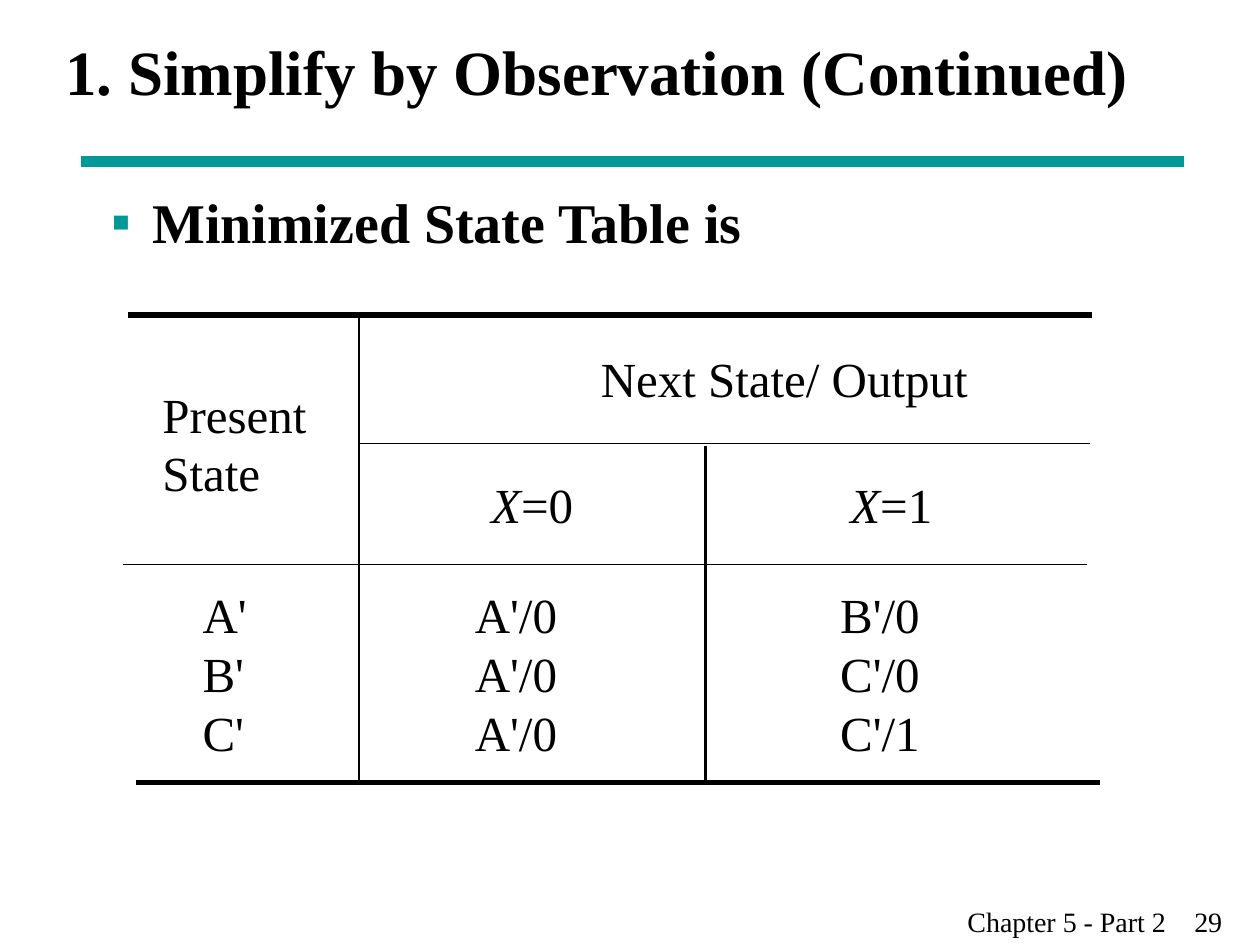
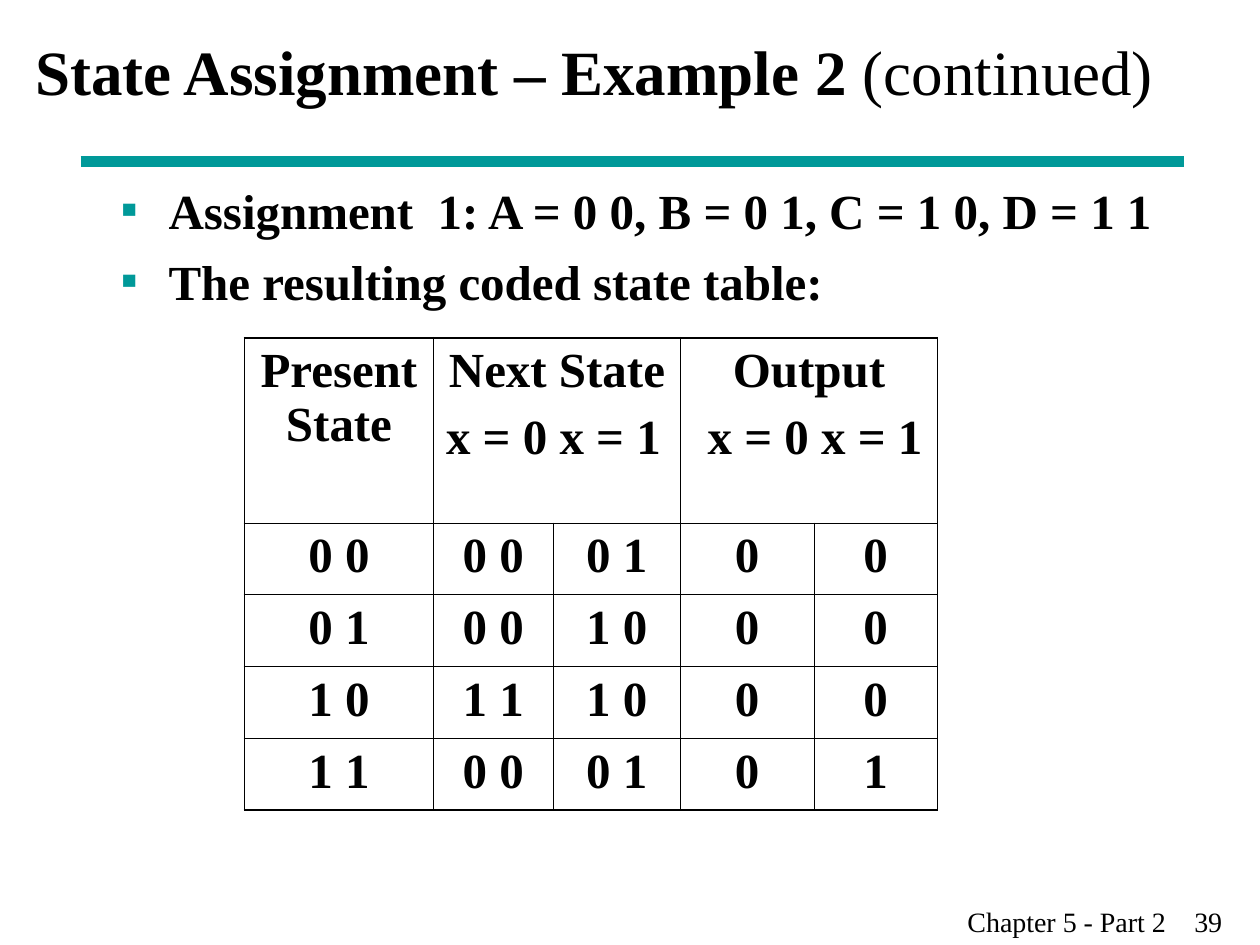
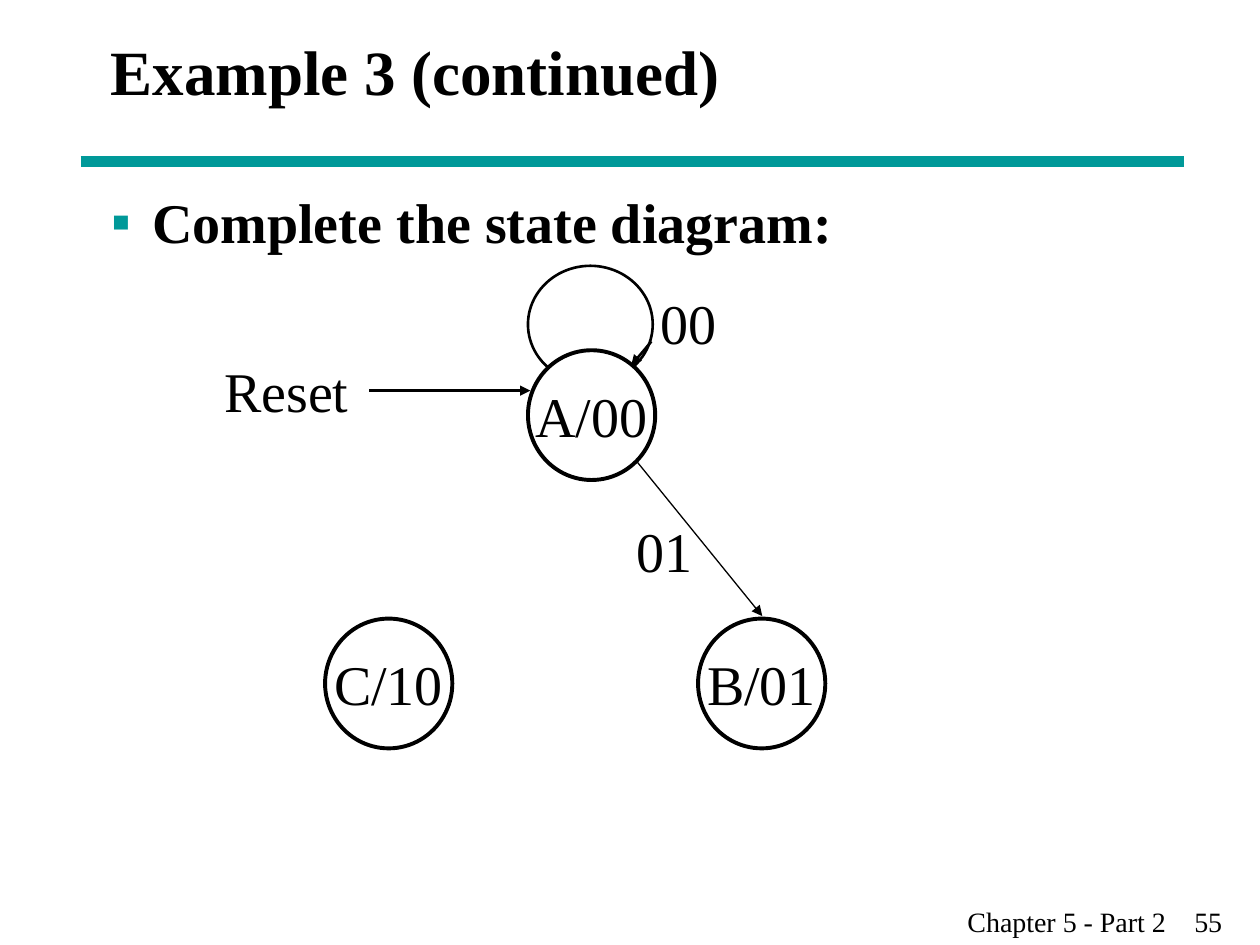
from lxml import etree
from pptx import Presentation
from pptx.dml.color import RGBColor
from pptx.enum.shapes import MSO_CONNECTOR, MSO_SHAPE
from pptx.enum.text import MSO_ANCHOR, PP_ALIGN
from pptx.oxml.ns import qn
from pptx.util import Inches, Pt

STRAIGHT = MSO_CONNECTOR.STRAIGHT
OVAL = MSO_SHAPE.OVAL
TOP, MIDDLE = MSO_ANCHOR.TOP, MSO_ANCHOR.MIDDLE
LEFT, CENTER = PP_ALIGN.LEFT, PP_ALIGN.CENTER

# Shared style
FONT = "Times New Roman"
COLORS = {"text": "000000", "accent": "009999", "paper": "FFFFFF"}
FOOTER = "Chapter 5 - Part 2"

# Slide 1: state table drawn with rules; (from x, from y, to x, to y, points)
STATE_RULES = [
    (1.02, 2.5, 8.67, 2.5, 3),
    (1.08, 6.21, 8.73, 6.21, 3),
    (2.85, 2.5, 2.85, 6.19, 1.5),
    (5.6, 3.54, 5.6, 6.19, 1.5),
    (2.85, 3.52, 8.65, 3.52, 1),
    (0.98, 4.48, 8.63, 4.48, 1),
]
STATE_HEADINGS = [
    ((4.67, 2.72, 3.11, 0.57), "Next State/ Output"),
    ((3.8, 3.72, 0.85, 0.57), [("X", {"italic": True}), ("=0", {})]),
    ((6.65, 3.72, 0.85, 0.57), [("X", {"italic": True}), ("=1", {})]),
]
STATE_COLUMNS = [
    (1.51, 0.55, ["A'", "B'", "C'"]),
    (3.67, 0.85, ["A'/0", "A'/0", "A'/0"]),
    (6.57, 0.83, ["B'/0", "C'/0", "C'/1"]),
]

# Slide 2: coded state table
ASSIGNMENT_BULLETS = [
    "Assignment  1: A = 0 0, B = 0 1, C = 1 0, D = 1 1",
    "The resulting coded state table:",
]
# First column, last column, lines with their alignment
CODED_HEADINGS = [
    (0, 0, [("Present State", CENTER)]),
    (1, 2, [("Next State", CENTER), ("x = 0 x = 1", LEFT)]),
    (3, 4, [("Output", CENTER), (" x = 0 x = 1", CENTER)]),
]
CODED_ROWS = [
    ["0 0", "0 0", "0 1", "0", "0"],
    ["0 1", "0 0", "1 0", "0", "0"],
    ["1 0", "1 1", "1 0", "0", "0"],
    ["1 1", "0 0", "0 1", "0", "1"],
]
CODED_WIDTHS = [1.5, 0.95, 1.01, 1.06, 0.98]
CODED_HEIGHTS = [1.47] + [0.57] * len(CODED_ROWS)

# Slide 3: state diagram
STATE_SIZE = (1.01, 1.03)
STATES = [
    ("A/00", 4.19, 2.78, "paper"),
    ("B/01", 5.54, 4.91, None),
    ("C/10", 2.58, 4.91, None),
]
DIAGRAM_LABELS = [
    ((5.14, 2.24, 0.65, 0.64), "00"),
    ((4.95, 4.05, 0.65, 0.64), "01"),
    ((1.68, 2.78, 1.25, 0.64), "Reset"),
]
LOOP = (4.19, 2.11, 0.99, 0.93)
LOOP_ARROW = (5.17, 2.71, 5.01, 2.9, 1.5)
TRANSITIONS = [(2.93, 3.1, 4.21, 3.1, 1.5), (5.06, 3.67, 6.05, 4.89, 0.75)]


def color(name):
    return RGBColor.from_string(COLORS[name])


def write_paragraph(paragraph, content, size, bold=False, align=LEFT):
    """Fill a paragraph from a string or a list of (text, font settings)."""
    paragraph.alignment = align
    parts = [(content, {})] if isinstance(content, str) else content
    for text, settings in parts:
        run = paragraph.add_run()
        run.text = text
        font = run.font
        font.name, font.size, font.bold = FONT, Pt(size), bold
        font.color.rgb = color("text")
        for name, value in settings.items():
            setattr(font, name, value)


def write_frame(frame, lines, size, bold=False, align=LEFT, anchor=TOP,
                wrap=True, gap=0):
    frame.word_wrap = wrap
    frame.vertical_anchor = anchor
    for index, line in enumerate(lines):
        paragraph = frame.add_paragraph() if index else frame.paragraphs[0]
        paragraph.line_spacing = 1.0
        if index and gap:
            paragraph.space_before = Pt(gap)
        write_paragraph(paragraph, line, size, bold, align)


def add_text(slide, box, lines, size, **options):
    shape = slide.shapes.add_textbox(*map(Inches, box))
    write_frame(shape.text_frame, lines, size, **options)
    return shape


def add_line(slide, x1, y1, x2, y2, width, line_color="text", arrow=False):
    line = slide.shapes.add_connector(STRAIGHT, *map(Inches, (x1, y1, x2, y2)))
    line.line.color.rgb = color(line_color)
    line.line.width = Pt(width)
    properties = line._element.spPr
    if arrow:
        outline = properties.find(qn("a:ln"))
        etree.SubElement(outline, qn("a:tailEnd"), type="triangle")
    etree.SubElement(properties, qn("a:effectLst"))


def add_circle(slide, box, width, fill=None):
    circle = slide.shapes.add_shape(OVAL, *map(Inches, box))
    circle.shadow.inherit = False
    if fill:
        circle.fill.solid()
        circle.fill.fore_color.rgb = color(fill)
    else:
        circle.fill.background()
    circle.line.color.rgb = color("text")
    circle.line.width = Pt(width)
    return circle


def add_bullets(slide, box, lines, size, indent, gap):
    shape = add_text(slide, box, lines, size, bold=True, gap=gap)
    for paragraph in shape.text_frame.paragraphs:
        properties = paragraph._p.get_or_add_pPr()
        properties.set("marL", str(Inches(indent)))
        properties.set("indent", str(-Inches(indent)))
        bullet_color = etree.SubElement(properties, qn("a:buClr"))
        etree.SubElement(bullet_color, qn("a:srgbClr"), val=COLORS["accent"])
        etree.SubElement(properties, qn("a:buFont"), typeface=FONT)
        etree.SubElement(properties, qn("a:buChar"), char="▪")


def add_base_slide(presentation, title, title_left, title_width, number):
    """Blank slide with the title, the rule below it and the footer."""
    slide = presentation.slides.add_slide(presentation.slide_layouts[6])
    add_line(slide, 0.64, 1.28, 9.4, 1.28, 6, "accent")
    add_text(slide, (title_left, 0, title_width, 1.12), [title], 36,
             bold=True, anchor=MIDDLE)
    footer = add_text(slide, (7.58, 7.13, 2.42, 0.37), [f"{FOOTER}\t{number}"], 16)
    properties = footer.text_frame.paragraphs[0]._p.get_or_add_pPr()
    tabs = etree.SubElement(properties, qn("a:tabLst"))
    etree.SubElement(tabs, qn("a:tab"), pos=str(Inches(1.8)), algn="l")
    return slide


def set_borders(cell, row, column, last_row, last_column):
    """Heavier lines on the outer edges of the table."""
    outer_edges = {"lnL": column == 0, "lnR": column == last_column,
                   "lnT": row == 0, "lnB": row == last_row}
    properties = cell._tc.get_or_add_tcPr()
    for tag, outer in outer_edges.items():
        width = Pt(1.08 if outer else 0.45)
        border = etree.SubElement(properties, qn(f"a:{tag}"), w=str(width))
        fill = etree.SubElement(border, qn("a:solidFill"))
        etree.SubElement(fill, qn("a:srgbClr"), val=COLORS["text"])


def add_coded_table(slide):
    rows, columns = len(CODED_HEIGHTS), len(CODED_WIDTHS)
    frame = slide.shapes.add_table(
        rows, columns, Inches(1.94), Inches(2.68),
        Inches(sum(CODED_WIDTHS)), Inches(sum(CODED_HEIGHTS)))
    table = frame.table
    table.first_row = table.horz_banding = False
    for column, width in zip(table.columns, CODED_WIDTHS):
        column.width = Inches(width)
    for row, height in zip(table.rows, CODED_HEIGHTS):
        row.height = Inches(height)
    for row in range(rows):
        for column in range(columns):
            cell = table.cell(row, column)
            set_borders(cell, row, column, rows - 1, columns - 1)
            cell.fill.background()

    # Heading cells, then codes
    for first, last, lines in CODED_HEADINGS:
        cell = table.cell(0, first)
        if last > first:
            cell.merge(table.cell(0, last))
        for index, (line, align) in enumerate(lines):
            text_frame = cell.text_frame
            paragraph = text_frame.add_paragraph() if index else text_frame.paragraphs[0]
            if index:
                paragraph.space_before = Pt(7)
            write_paragraph(paragraph, line, 28, True, align)
    for row, codes in enumerate(CODED_ROWS, 1):
        for column, code in enumerate(codes):
            paragraph = table.cell(row, column).text_frame.paragraphs[0]
            write_paragraph(paragraph, code, 28, True, CENTER)


def build_minimized_table(presentation):
    slide = add_base_slide(
        presentation, "1. Simplify by Observation (Continued)", 0.42, 8.86, 29)
    add_bullets(slide, (0.79, 1.44, 8.5, 5.5), ["Minimized State Table is"],
                32, 0.32, 8)
    for rule in STATE_RULES:
        add_line(slide, *rule)
    add_text(slide, (1.19, 3, 1.41, 1.04), ["Present State"], 28)
    for box, heading in STATE_HEADINGS:
        add_text(slide, box, [heading], 28, wrap=False)
    for left, width, entries in STATE_COLUMNS:
        add_text(slide, (left, 4.59, width, 1.5), entries, 28, wrap=False)


def build_state_assignment(presentation):
    title = [("State Assignment – Example 2 ", {}), ("(continued)", {"bold": False})]
    slide = add_base_slide(presentation, title, 0.18, 9.1, 39)
    add_bullets(slide, (0.86, 1.38, 8.5, 1.84), ASSIGNMENT_BULLETS, 28, 0.38, 7)
    add_coded_table(slide)


def build_state_diagram(presentation):
    slide = add_base_slide(presentation, "Example 3 (continued)", 0.78, 8.5, 55)
    add_bullets(slide, (0.79, 1.44, 8.5, 5.5), ["Complete the state diagram:"],
                32, 0.32, 8)
    # The loop lies behind state A
    add_circle(slide, LOOP, 1.5)
    add_line(slide, *LOOP_ARROW, arrow=True)
    for name, left, top, fill in STATES:
        circle = add_circle(slide, (left, top, *STATE_SIZE), 2.25, fill)
        write_frame(circle.text_frame, [name], 32, align=CENTER,
                    anchor=MIDDLE, wrap=False)
    for box, label in DIAGRAM_LABELS:
        add_text(slide, box, [label], 32, wrap=False)
    for transition in TRANSITIONS:
        add_line(slide, *transition, arrow=True)


def main():
    presentation = Presentation()
    presentation.slide_width = Inches(10)
    presentation.slide_height = Inches(7.5)
    build_minimized_table(presentation)
    build_state_assignment(presentation)
    build_state_diagram(presentation)
    presentation.save("out.pptx")


if __name__ == "__main__":
    main()
